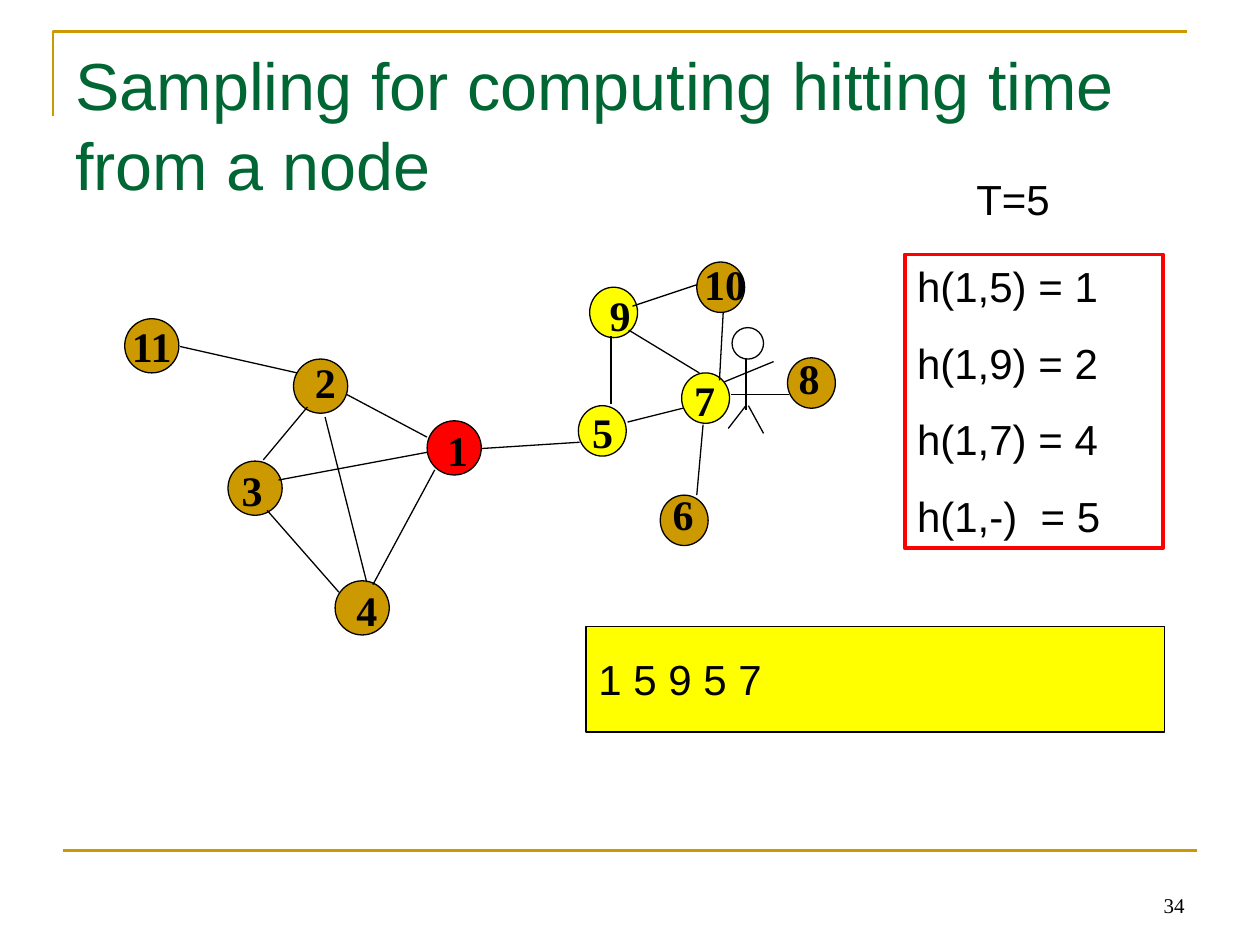
"""Slide showing a sampled random walk on a graph and its hitting times."""
from pptx import Presentation
from pptx.dml.color import RGBColor as Rgb
from pptx.enum.shapes import MSO_CONNECTOR as Link, MSO_SHAPE as Shape
from pptx.enum.text import MSO_ANCHOR as Anchor, PP_ALIGN as Align
from pptx.oxml.ns import qn
from pptx.util import Pt

PX = 9144
COLORS = {"gold": "CC9900", "green": "006633", "red": "FF0000",
          "yellow": "FFFF00", "black": "000000"}


def paint(item, line, width=0.75, fill=None):
    item.line.color.rgb = Rgb.from_string(COLORS[line])
    item.line.width = Pt(width)
    if hasattr(item, "fill"):
        item.shadow.inherit = False
        if fill:
            item.fill.solid()
            item.fill.fore_color.rgb = Rgb.from_string(COLORS[fill])
        else:
            item.fill.background()
    else:
        item._element.spPr.append(item._element.makeelement(qn("a:effectLst"), {}))


def write(box, text, size=24, font="Arial", color="black", bold=False,
          align=Align.LEFT, anchor=Anchor.TOP, wrap=True, before=0):
    frame = box.text_frame
    frame.text = text
    frame.word_wrap = wrap
    frame.vertical_anchor = anchor
    for para in frame.paragraphs:
        para.alignment = align
        para.space_before = Pt(before)
        for span in para.runs:
            span.font.size = Pt(size)
            span.font.name = font
            span.font.bold = bold
            span.font.color.rgb = Rgb.from_string(COLORS[color])


deck = Presentation()
deck.slide_width, deck.slide_height = 1000 * PX, 750 * PX
page = deck.slides.add_slide(deck.slide_layouts[6])
shapes = page.shapes

builder = shapes.build_freeform(42, 92, scale=PX)
builder.add_line_segments([(42, 25), (942, 25)], close=False)
corner = builder.convert_to_shape()
paint(corner, "gold", 1.5)

footer_rule = shapes.add_connector(Link.STRAIGHT, 50 * PX, 675 * PX, 950 * PX, 675 * PX)
paint(footer_rule, "gold", 1.5)

title = shapes.add_textbox(50 * PX, 30 * PX, 900 * PX, 125 * PX)
write(title, "Sampling for computing hitting time from a node", 38, color="green")

graph = shapes.add_group_shape().shapes
LEFT_NODE, RIGHT_NODE = (43, 43), (38, 40)
nodes = [
    (339, 334, LEFT_NODE, "red"), (233, 285, LEFT_NODE, "gold"),
    (181, 366, LEFT_NODE, "gold"), (266, 461, LEFT_NODE, "gold"),
    (99, 253, LEFT_NODE, "gold"),
    (553, 208, RIGHT_NODE, "gold"), (468, 228, RIGHT_NODE, "yellow"),
    (541, 296, RIGHT_NODE, "yellow"), (459, 322, RIGHT_NODE, "yellow"),
    (524, 393, RIGHT_NODE, "gold"), (625, 284, RIGHT_NODE, "gold"),
]
for x, y, (width, height), fill in nodes:
    node = graph.add_shape(Shape.OVAL, x * PX, y * PX, width * PX, height * PX)
    paint(node, "black", fill=fill)
    if (x, y) == (99, 253):
        write(node, "11", font="Times New Roman", bold=True,
              align=Align.CENTER, anchor=Anchor.MIDDLE, wrap=False)

edges = [
    (143, 275, 236, 296), (275, 313, 339, 347), (296, 464, 345, 373),
    (212, 405, 269, 470), (382, 356, 460, 351), (485, 267, 485, 321),
    (498, 335, 542, 324), (558, 337, 553, 393), (580, 313, 626, 313),
    (499, 262, 555, 296), (502, 243, 553, 226), (209, 365, 244, 323),
    (258, 331, 291, 462), (574, 248, 571, 302), (339, 359, 221, 381),
]
for ends in edges:
    edge = graph.add_connector(Link.STRAIGHT, *[end * PX for end in ends])
    paint(edge, "black")

labels = [
    ("1", 345, 332), ("2", 240, 278), ("4", 273, 459), ("3", 182, 364),
    ("5", 460, 318), ("6", 524, 383), ("7", 541, 292), ("8", 624, 275),
    ("9", 474, 225), ("10", 549, 200),
]
for text, x, y in labels:
    width = 32 if len(text) == 1 else 58
    label = graph.add_textbox(x * PX, y * PX, width * PX, 50 * PX)
    write(label, text, font="Times New Roman", bold=True)

walker = shapes.add_group_shape().shapes
head = walker.add_shape(Shape.OVAL, 581 * PX, 260 * PX, 25 * PX, 25 * PX)
paint(head, "black")
limbs = [(575, 303, 614, 287), (592, 322, 578, 340),
         (592, 284, 592, 325), (594, 322, 606, 344)]
for ends in limbs:
    limb = walker.add_connector(Link.STRAIGHT, *[end * PX for end in ends])
    paint(limb, "black")

walk = shapes.add_shape(Shape.RECTANGLE, 465 * PX, 497 * PX, 459 * PX, 84 * PX)
paint(walk, "black", fill="yellow")
write(walk, "1 5 9 5 7", anchor=Anchor.MIDDLE)

hitting_times = shapes.add_shape(Shape.RECTANGLE, 718 * PX, 202 * PX, 205 * PX, 233 * PX)
paint(hitting_times, "red", 2.25)
write(hitting_times, "h(1,5) = 1\nh(1,9) = 2\nh(1,7) = 4\nh(1,-)  = 5", before=15)

horizon = shapes.add_textbox(765 * PX, 133 * PX, 154 * PX, 50 * PX)
write(horizon, "T=5")

page_number = shapes.add_textbox(717 * PX, 683 * PX, 233 * PX, 50 * PX)
write(page_number, "34", 12, "Times New Roman", align=Align.RIGHT, anchor=Anchor.BOTTOM)

deck.save("out.pptx")
